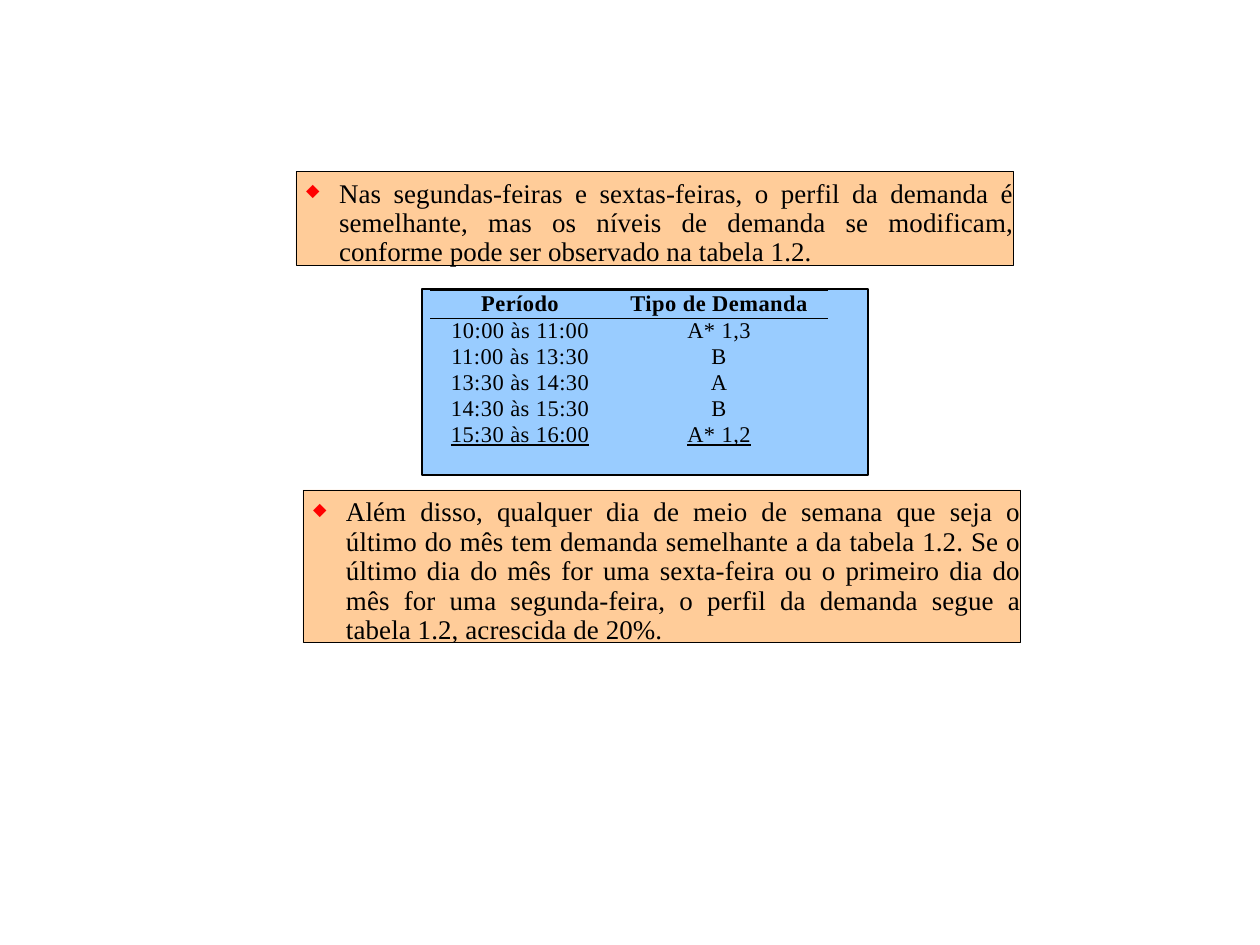
from dataclasses import dataclass

from lxml import etree
from pptx import Presentation
from pptx import util as u
from pptx.dml.color import RGBColor
from pptx.enum import shapes, text
from pptx.oxml.ns import qn

EMU_PER_PX = 11317  # 80.8 px to the inch


def px(length):
    return u.Emu(length * EMU_PER_PX)


@dataclass(frozen=True)
class Theme:
    font: str = "Times New Roman"
    note_size: int = 24
    table_size: int = 20
    ink: str = "000000"
    note_fill: str = "FFCC99"
    panel_fill: str = "99CCFF"
    bullet: str = "FF0000"
    note_leading: float = 26.2
    note_line: float = 0.84
    panel_line: float = 1.08
    note_tracking: int = 10
    table_tracking: int = 40


class SlideBuilder:
    def __init__(self, slide, theme):
        self.slide = slide
        self.theme = theme

    def add_run(self, paragraph, words, size, tracking, bold=False, underline=False):
        run = paragraph.add_run()
        run.text = words
        run.font.name = self.theme.font
        run.font.size = u.Pt(size)
        run.font.bold = bold
        run.font.underline = underline
        run.font.color.rgb = RGBColor.from_string(self.theme.ink)
        run._r.get_or_add_rPr().set("spc", str(tracking))

    def add_box(self, left, top, width, height, fill, line):
        shape = self.slide.shapes.add_shape(
            shapes.MSO_SHAPE.RECTANGLE, px(left), px(top), px(width), px(height))
        shape.shadow.inherit = False
        shape.fill.solid()
        shape.fill.fore_color.rgb = RGBColor.from_string(fill)
        shape.line.color.rgb = RGBColor.from_string(self.theme.ink)
        shape.line.width = u.Pt(line)
        return shape

    def add_bullet(self, paragraph, indent, hanging):
        properties = paragraph._p.get_or_add_pPr()
        properties.set("marL", str(px(indent)))
        properties.set("indent", str(-px(hanging)))
        color = etree.SubElement(properties, qn("a:buClr"))
        etree.SubElement(color, qn("a:srgbClr"), val=self.theme.bullet)
        etree.SubElement(properties, qn("a:buSzPct"), val="65000")
        etree.SubElement(properties, qn("a:buChar"), char="◆")

    def add_note(self, left, top, width, height, words):
        theme = self.theme
        shape = self.add_box(left, top, width, height, theme.note_fill, theme.note_line)
        frame = shape.text_frame
        frame.word_wrap = True
        frame.vertical_anchor = text.MSO_ANCHOR.TOP
        frame.margin_left = frame.margin_right = frame.margin_bottom = 0
        frame.margin_top = px(8)
        paragraph = frame.paragraphs[0]
        self.add_bullet(paragraph, indent=43, hanging=33)
        paragraph.alignment = text.PP_ALIGN.JUSTIFY
        paragraph.line_spacing = u.Pt(theme.note_leading)
        self.add_run(paragraph, words, theme.note_size, theme.note_tracking)

    def add_rules(self, cell):
        properties = cell._tc.get_or_add_tcPr()
        for position, side in enumerate(("a:lnT", "a:lnB")):
            line = etree.Element(qn(side), w=str(u.Pt(1)))
            fill = etree.SubElement(line, qn("a:solidFill"))
            etree.SubElement(fill, qn("a:srgbClr"), val=self.theme.ink)
            properties.insert(position, line)

    def add_table(self, left, top, widths, header_height, row_height, rows):
        heights = [header_height] + [row_height] * (len(rows) - 1)
        table = self.slide.shapes.add_table(
            len(rows), len(widths), px(left), px(top),
            px(sum(widths)), px(sum(heights))).table
        table.first_row = table.horz_banding = False
        # Plain style without grid lines
        style = table._tbl.tblPr.find(qn("a:tableStyleId"))
        style.text = "{2D5ABB26-0587-4C30-8999-92F81FD0307C}"
        for column, width in zip(table.columns, widths):
            column.width = px(width)
        for row_index, (values, height) in enumerate(zip(rows, heights)):
            table.rows[row_index].height = px(height)
            is_header = row_index == 0
            is_last = row_index == len(rows) - 1
            for column_index, value in enumerate(values):
                cell = table.cell(row_index, column_index)
                cell.fill.background()
                cell.margin_left = cell.margin_right = 0
                cell.margin_top = cell.margin_bottom = 0
                cell.vertical_anchor = text.MSO_ANCHOR.MIDDLE
                paragraph = cell.text_frame.paragraphs[0]
                paragraph.alignment = text.PP_ALIGN.CENTER
                self.add_run(paragraph, value, self.theme.table_size,
                             self.theme.table_tracking, is_header, is_last)
                if is_header:
                    self.add_rules(cell)


def main():
    presentation = Presentation()
    presentation.slide_width = px(1260)
    presentation.slide_height = px(945)
    slide = presentation.slides.add_slide(presentation.slide_layouts[6])
    theme = Theme()
    builder = SlideBuilder(slide, theme)

    # Mondays and Fridays
    builder.add_note(
        296, 171, 718, 94,
        "Nas segundas-feiras e sextas-feiras, o perfil da demanda é semelhante, "
        "mas os níveis de demanda se modificam, conforme pode ser observado na "
        "tabela 1.2.")

    # Demand table on its panel
    builder.add_box(422, 289, 446, 186, theme.panel_fill, theme.panel_line)
    builder.add_table(
        430, 290, widths=(180, 218), header_height=28, row_height=26,
        rows=[
            ("Período", "Tipo de Demanda"),
            ("10:00 às 11:00", "A* 1,3"),
            ("11:00 às 13:30", "B"),
            ("13:30 às 14:30", "A"),
            ("14:30 às 15:30", "B"),
            ("15:30 às 16:00", "A* 1,2"),
        ])

    # Last day of the month
    builder.add_note(
        303, 490, 718, 153,
        "Além disso, qualquer dia de meio de semana que seja o último do mês tem "
        "demanda semelhante a da tabela 1.2. Se o último dia do mês for uma "
        "sexta-feira ou o primeiro dia do mês for uma segunda-feira, o perfil da "
        "demanda segue a tabela 1.2, acrescida de 20%.")

    presentation.save("out.pptx")


if __name__ == "__main__":
    main()
